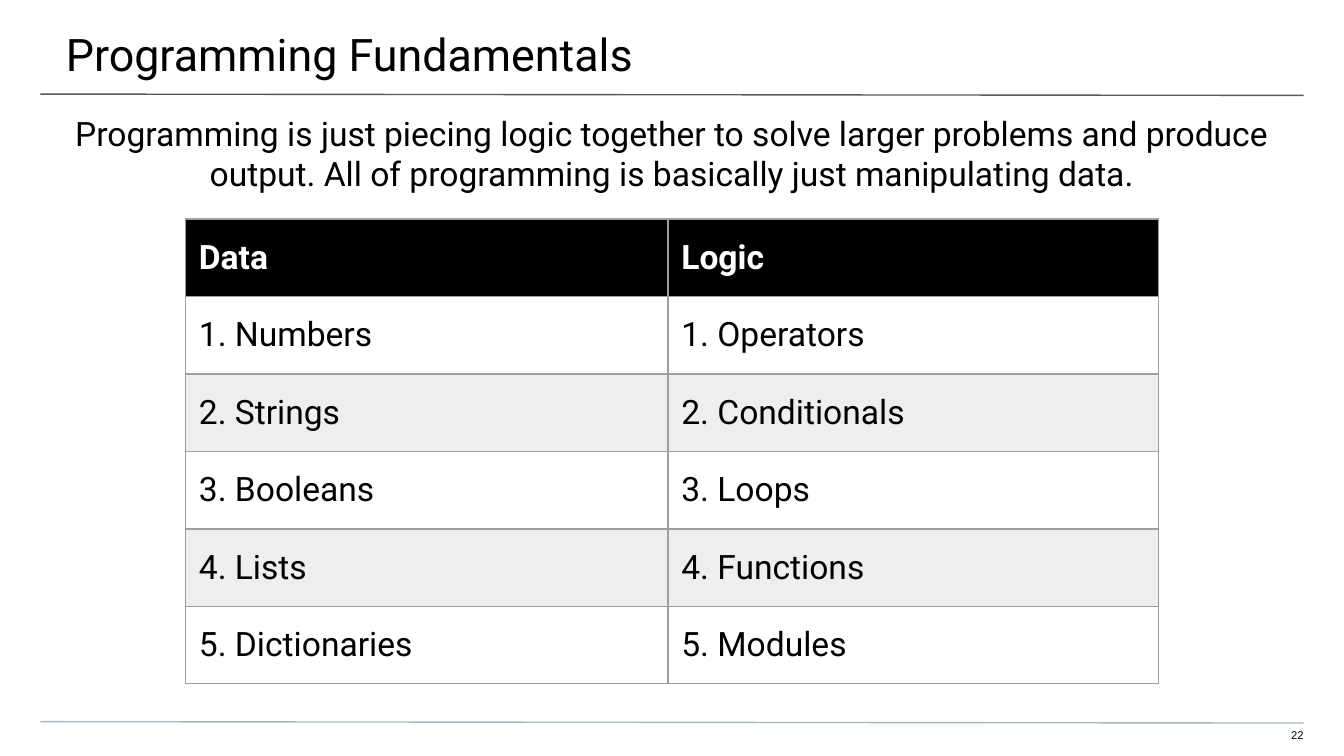
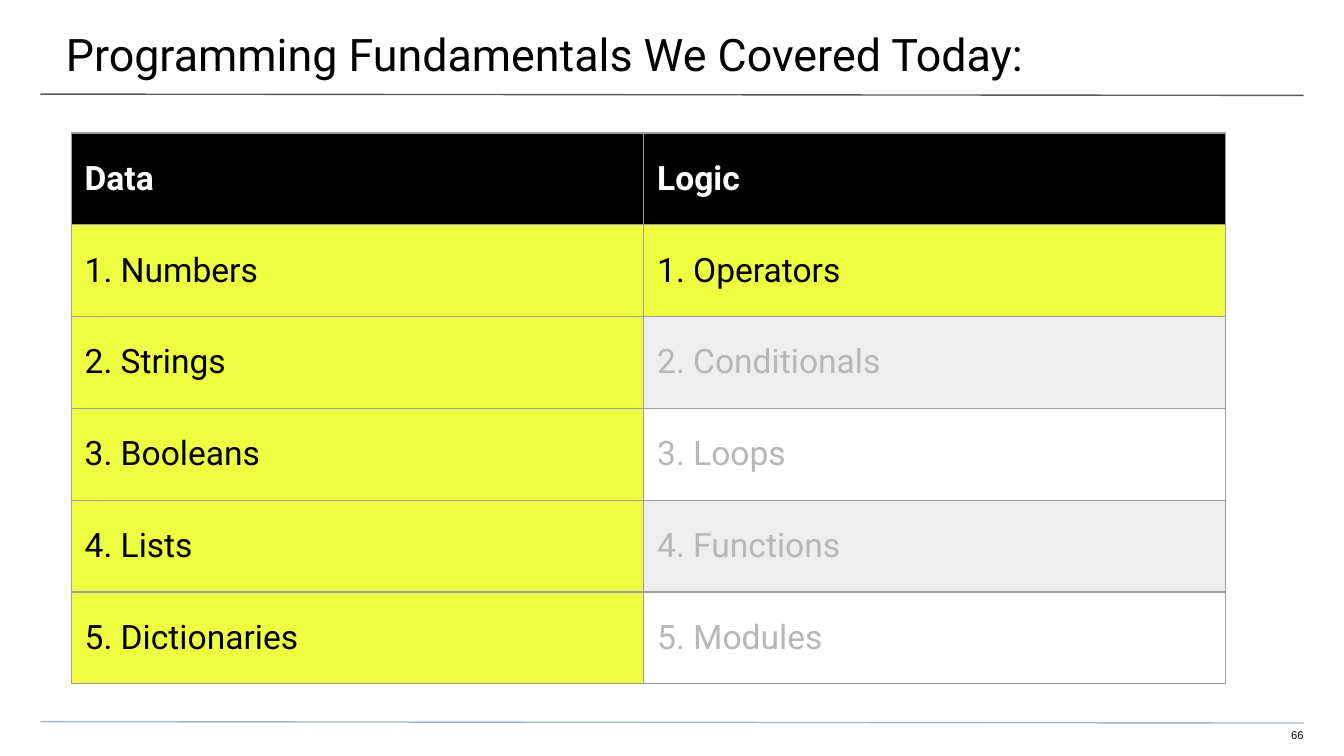
import pptx
import pptx.util
import pptx.dml.color
import pptx.enum.shapes
import pptx.enum.text
import pptx.oxml.ns
from lxml import etree

PX = 9144  # 100 px to the inch
COLORS = {
    "black": "000000",
    "white": "FFFFFF",
    "band": "EEEEEE",
    "covered": "EEFF41",
    "muted": "B7B7B7",
    "border": "9E9E9E",
    "title_rule": "595959",
    "footer_rule": "A9B7C0",
}
RULES = [((30, 70, 970, 71), "title_rule"), ((30, 537, 970, 538), "footer_rule")]
ROWS = [
    ("Data", "Logic"),
    ("1. Numbers", "1. Operators"),
    ("2. Strings", "2. Conditionals"),
    ("3. Booleans", "3. Loops"),
    ("4. Lists", "4. Functions"),
    ("5. Dictionaries", "5. Modules"),
]
PAGES = [
    {
        "title": "Programming Fundamentals",
        "number": "22",
        "intro": "Programming is just piecing logic together to solve larger problems "
                 "and produce output. All of programming is basically just manipulating data.",
        "table": (138, 163, 346),
        "columns": (359, 365),
        "covered": None,
    },
    {
        "title": "Programming Fundamentals We Covered Today:",
        "number": "66",
        "intro": None,
        "table": (53, 99, 410),
        "columns": (426, 433),
        "covered": {"1. Numbers", "2. Strings", "3. Booleans", "4. Lists",
                    "5. Dictionaries", "1. Operators"},
    },
]
ALIGN = pptx.enum.text.PP_ALIGN
ANCHOR = pptx.enum.text.MSO_ANCHOR
qn = pptx.oxml.ns.qn


def rgb(name):
    return pptx.dml.color.RGBColor.from_string(COLORS[name])


def write(frame, text, size=18, font="Roboto", color="black", bold=False,
          align=ALIGN.LEFT, insets=None):
    """Fill a text frame with one paragraph; insets are left, top, right, bottom in px."""
    if insets:
        frame.word_wrap = True
        frame.auto_size = pptx.enum.text.MSO_AUTO_SIZE.NONE
        frame.vertical_anchor = ANCHOR.TOP
        (frame.margin_left, frame.margin_top,
         frame.margin_right, frame.margin_bottom) = [inset * PX for inset in insets]
    para = frame.paragraphs[0]
    para.alignment = align
    span = para.add_run()
    span.text = text
    span.font.name = font
    span.font.size = pptx.util.Pt(size)
    span.font.bold = bold
    span.font.color.rgb = rgb(color)


deck = pptx.Presentation()
deck.slide_width = 1000 * PX
deck.slide_height = deck.slide_width * 9 // 16
title_only = deck.slide_layouts[5]

for content in PAGES:
    page = deck.slides.add_slide(title_only)
    page.background.fill.solid()
    page.background.fill.fore_color.rgb = rgb("white")

    for ends, color in RULES:
        rule = page.shapes.add_connector(
            pptx.enum.shapes.MSO_CONNECTOR.STRAIGHT, *[end * PX for end in ends])
        rule.line.color.rgb = rgb(color)
        rule.line.width = pptx.util.Pt(0.75)
        etree.SubElement(rule.element.spPr, qn("a:effectLst"))

    title = page.shapes.title
    title.left, title.top, title.width, title.height = -1 * PX, 0, 1003 * PX, 58 * PX
    write(title.text_frame, content["title"], size=24, insets=(50, 20, 30, 10))

    number = page.shapes.add_textbox(941 * PX, 542 * PX, 29 * PX, 12 * PX)
    write(number.text_frame, content["number"], size=6, font="Arial",
          align=ALIGN.RIGHT, insets=(0, 0, 0, 10))

    if content["intro"]:
        intro = page.shapes.add_textbox(0, 74 * PX, 1000 * PX, 40 * PX)
        write(intro.text_frame, content["intro"], align=ALIGN.CENTER,
              insets=(50, 10, 50, 0))

    left, top, height = content["table"]
    columns = content["columns"]
    table = page.shapes.add_table(len(ROWS), len(columns), left * PX, top * PX,
                                  sum(columns) * PX, height * PX).table
    table.first_row = False
    table.horz_banding = False
    for column, width in zip(table.columns, columns):
        column.width = width * PX

    covered = content["covered"]
    for r, labels in enumerate(ROWS):
        for c, label in enumerate(labels):
            cell = table.cell(r, c)
            cell.vertical_anchor = ANCHOR.MIDDLE
            cell.margin_left = cell.margin_right = 10 * PX
            cell.margin_top = cell.margin_bottom = 0

            properties = cell._tc.get_or_add_tcPr()
            for side in ("a:lnL", "a:lnR", "a:lnT", "a:lnB"):
                border = etree.SubElement(properties, qn(side), w=str(pptx.util.Pt(0.75)))
                paint = etree.SubElement(border, qn("a:solidFill"))
                etree.SubElement(paint, qn("a:srgbClr"), val=COLORS["border"])

            fill = "band" if r % 2 == 0 else None
            color = "black"
            if r == 0:
                fill, color = "black", "white"
            elif covered and label in covered:
                fill = "covered"
            elif covered:
                color = "muted"
            if fill:
                cell.fill.solid()
                cell.fill.fore_color.rgb = rgb(fill)
            else:
                cell.fill.background()
            write(cell.text_frame, label, color=color, bold=r == 0)

deck.save("out.pptx")
